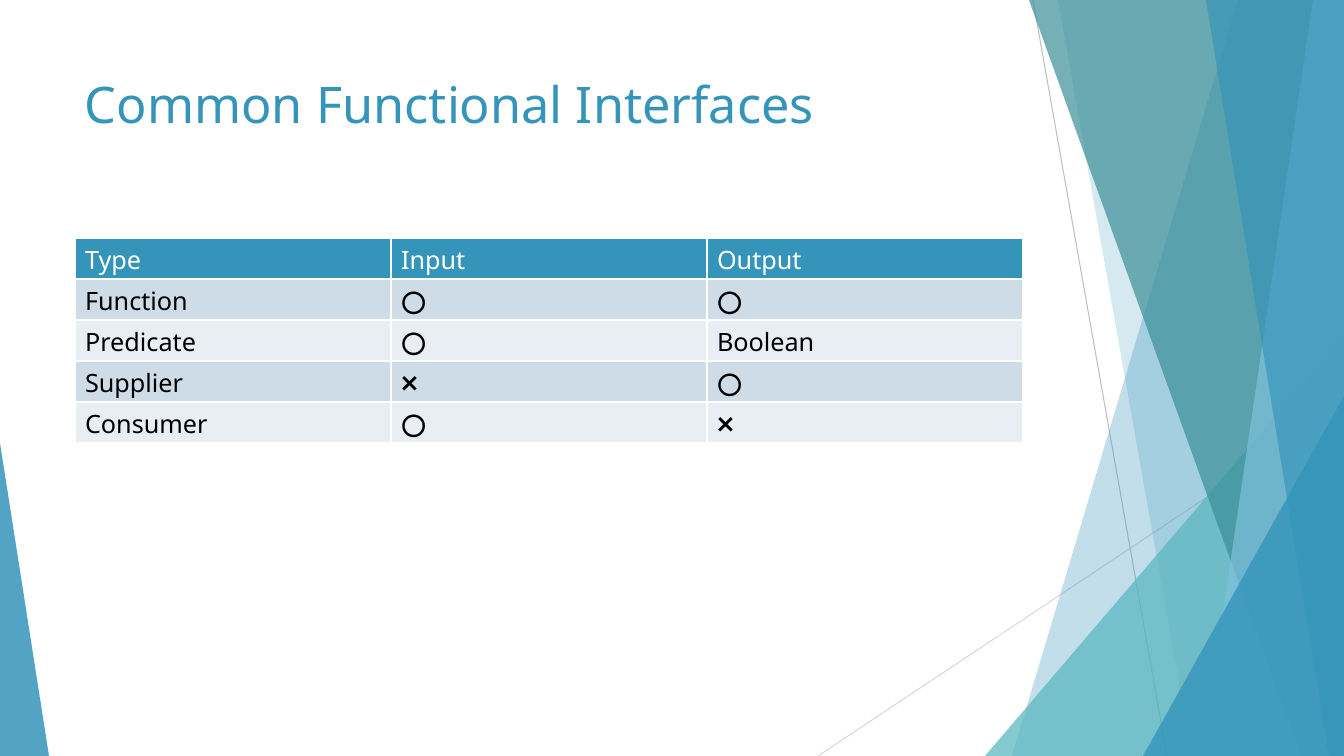
"""Build the slide on common functional interfaces."""
import lxml.etree
import pptx
import pptx.dml.color
import pptx.enum.shapes
import pptx.oxml.ns
import pptx.util

WIDE, HIGH = 1344, 756
HUES = {
    "blue": "3494BA", "teal": "58B6C0", "dark": "3A8F98", "pale": "7FC1DB",
    "odd": "CEDCE7", "even": "E8EEF3", "white": "FFFFFF", "black": "000000",
    "grey": "BFBFBF", "light": "D9D9D9",
}
TITLE = "Common Functional Interfaces"
YES, NO = "\u2b55\ufe0f", "\u274c"
ROWS = [
    ("Type", "Input", "Output"),
    ("Function", YES, YES),
    ("Predicate", YES, "Boolean"),
    ("Supplier", NO, YES),
    ("Consumer", YES, NO),
]
LINES = [((1033, 0), (1167, HIGH), "grey"), ((WIDE, 406), (818, HIGH), "light")]
BANDS = [
    ("band", (1238, 1012), "blue", 30),
    ("band", (1058, 1192), "blue", 20),
    ("wedge", (985, 336, 359, 1), "teal", 72),
    ("band", (1029, 1301), "dark", 70),
    ("band", (1313, 1202), "pale", 70),
    ("band", (1206, 1329), "blue", 65),
    ("wedge", (1143, 396, 201, 1), "blue", 80),
    ("wedge", (0, 443, 49, 0), "blue", 85),
]
HEAD = {"size": pptx.util.Pt(36), "name": "Noto Sans", "bold": False}
BODY = {"size": pptx.util.Pt(18), "name": "Noto Sans", "bold": False}
UNIT = pptx.util.Inches(1) / 100.8


def emu(*vals):
    return [round(val * UNIT) for val in vals]


def tint(fill, hue):
    fill.solid()
    fill.fore_color.rgb = pptx.dml.color.RGBColor.from_string(HUES[hue])


def write(frame, text, form, hue):
    frame.text = text
    font = frame.paragraphs[0].runs[0].font
    for key, val in form.items():
        setattr(font, key, val)
    tint(font.fill, hue)


def child(node, tag, **attrs):
    lxml.etree.SubElement(node, pptx.oxml.ns.qn(tag), attrs)


def band(top, foot):
    pen = shapes.build_freeform(top, 0, scale=UNIT)
    pen.add_line_segments([(WIDE, 0), (WIDE, HIGH), (foot, HIGH)])
    return pen.convert_to_shape()


def wedge(left, top, width, peak):
    kind = pptx.enum.shapes.MSO_SHAPE.ISOSCELES_TRIANGLE
    shape = shapes.add_shape(kind, *emu(left, top, width, HIGH - top))
    shape.adjustments[0] = peak
    return shape


deck = pptx.Presentation()
deck.slide_width, deck.slide_height = emu(WIDE, HIGH)
shapes = deck.slides.add_slide(deck.slide_layouts[6]).shapes

for start, end, hue in LINES:
    kind = pptx.enum.shapes.MSO_CONNECTOR.STRAIGHT
    line = shapes.add_connector(kind, *emu(*start, *end))
    tint(line.line.fill, hue)
    line.line.width = pptx.util.Pt(0.75)
    child(line._element.spPr, "a:effectLst")

makers = {"band": band, "wedge": wedge}
for kind, place, hue, alpha in BANDS:
    shape = makers[kind](*place)
    shape.shadow.inherit = False
    shape.line.fill.background()
    tint(shape.fill, hue)
    color = shape._element.spPr.find(".//" + pptx.oxml.ns.qn("a:srgbClr"))
    child(color, "a:alpha", val=str(alpha * 1000))

title = shapes.add_textbox(*emu(75, 68, 948, 145)).text_frame
title.word_wrap = True
write(title, TITLE, HEAD, "blue")

size = len(ROWS), len(ROWS[0])
table = shapes.add_table(*size, *emu(75, 238, 948, 41 * len(ROWS))).table
for i, row in enumerate(ROWS):
    fill = ("even", "odd")[i % 2] if i else "blue"
    for j, text in enumerate(row):
        cell = table.cell(i, j)
        tint(cell.fill, fill)
        write(cell.text_frame, text, BODY, "black" if i else "white")

deck.save("out.pptx")
